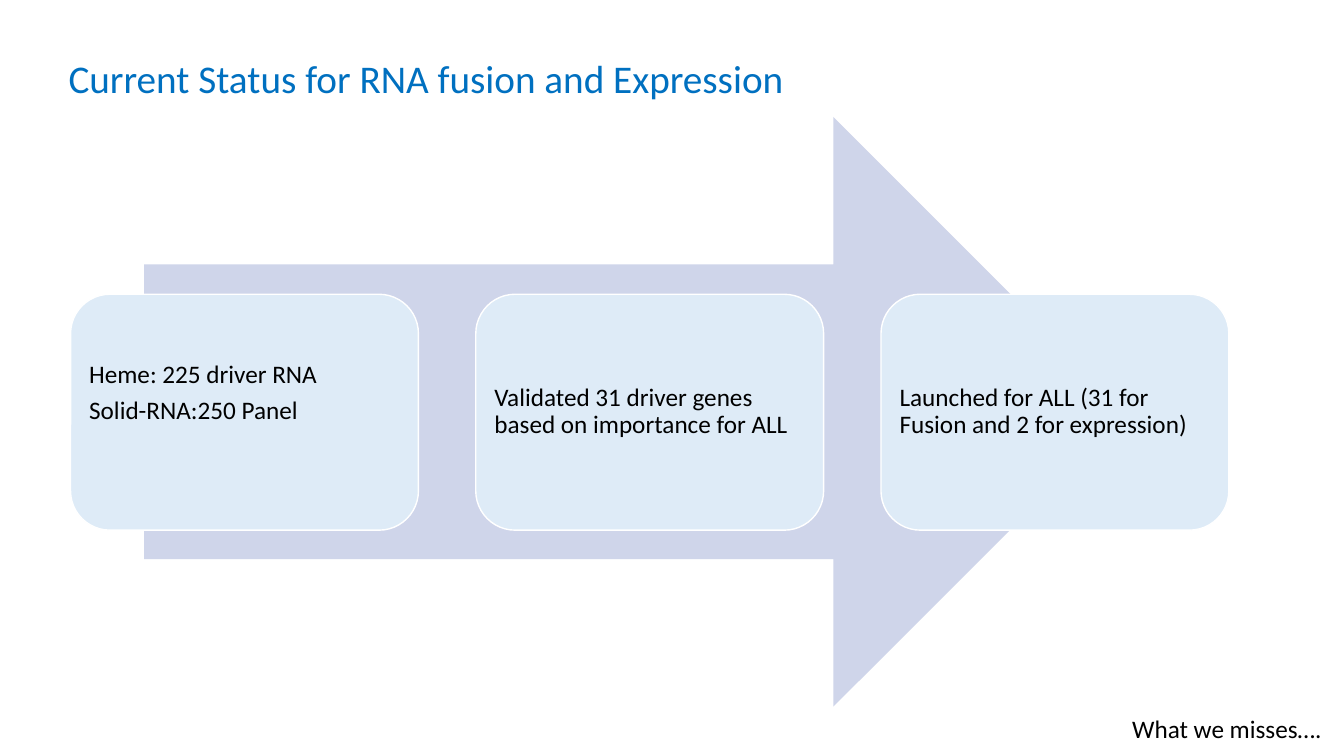
from pptx import Presentation
from pptx.dml.color import RGBColor
from pptx.enum.shapes import MSO_SHAPE as Shape
from pptx.enum.text import MSO_ANCHOR as Anchor, MSO_AUTO_SIZE as AutoSize, PP_ALIGN as Align
from pptx.util import Inches, Pt

COLORS = {
    "title": "0070C0",
    "text": "000000",
    "arrow": "CFD5EA",
    "card": "DEEBF7",
    "outline": "FFFFFF",
}
FONT = "Calibri"
TITLE_SIZE, TEXT_SIZE = 28, 18
CARD_INSET = 0.07

# Percent of the slide's width (left, width) and height (top, height)
CARD_LEFT, CARD_STEP, CARD_WIDTH = 5.25, 30.15, 25.88
CARD_TOP, CARD_HEIGHT = 38.93, 31.2

# Lines of each card, with the extra inches below that lift its text
CARDS = [
    (["Heme: 225 driver RNA", "Solid-RNA:250 Panel"], 0.38),
    (["Validated 31 driver genes based on importance for ALL"], 0),
    (["Launched for ALL (31 for Fusion and 2 for expression)"], 0),
]


def color(name):
    return RGBColor.from_string(COLORS[name])


class StatusSlide:
    def __init__(self, presentation):
        self.width = presentation.slide_width
        self.height = presentation.slide_height
        self.slide = presentation.slides.add_slide(presentation.slide_layouts[5])

    def box(self, left, top, width, height):
        """Turn percentages of the slide into lengths."""
        sides = (self.width, self.height) * 2
        return [int(side * share / 100) for side, share in zip(sides, (left, top, width, height))]

    def fill_text(self, frame, lines, size=TEXT_SIZE, color_name="text"):
        for index, line in enumerate(lines):
            paragraph = frame.add_paragraph() if index else frame.paragraphs[0]
            paragraph.text = line
            paragraph.alignment = Align.LEFT
            paragraph.font.name = FONT
            paragraph.font.size = Pt(size)
            paragraph.font.color.rgb = color(color_name)

    def title(self, text, *place):
        title = self.slide.shapes.title
        title.left, title.top, title.width, title.height = self.box(*place)
        title.text_frame.word_wrap = False
        title.text_frame.auto_size = AutoSize.NONE
        self.fill_text(title.text_frame, [text], TITLE_SIZE, "title")

    def shape(self, kind, fill, *place):
        shape = self.slide.shapes.add_shape(kind, *self.box(*place))
        shape.shadow.inherit = False
        shape.fill.solid()
        shape.fill.fore_color.rgb = color(fill)
        shape.line.fill.background()
        return shape

    def card(self, lines, lift, *place):
        card = self.shape(Shape.ROUNDED_RECTANGLE, "card", *place)
        card.line.color.rgb = color("outline")
        card.line.width = Pt(1)
        frame = card.text_frame
        frame.word_wrap = True
        frame.vertical_anchor = Anchor.MIDDLE
        frame.margin_left = frame.margin_right = frame.margin_top = Inches(CARD_INSET)
        frame.margin_bottom = Inches(CARD_INSET + lift)
        self.fill_text(frame, lines)
        for paragraph in frame.paragraphs:
            paragraph.line_spacing = 0.9
            paragraph.space_after = Pt(0.35 * TEXT_SIZE)

    def note(self, text, *place):
        frame = self.slide.shapes.add_textbox(*self.box(*place)).text_frame
        frame.word_wrap = False
        self.fill_text(frame, [text])


def main():
    presentation = Presentation()
    presentation.slide_width = Inches(13.33)
    presentation.slide_height = Inches(7.5)

    slide = StatusSlide(presentation)
    slide.title("Current Status for RNA fusion and Expression", 4.35, 6.53, 55.36, 7.6)
    slide.shape(Shape.RIGHT_ARROW, "arrow", 10.73, 15.47, 73.22, 78)
    for column, (lines, lift) in enumerate(CARDS):
        left = CARD_LEFT + column * CARD_STEP
        slide.card(lines, lift, left, CARD_TOP, CARD_WIDTH, CARD_HEIGHT)
    slide.note("What we misses….", 83.5, 93.73, 15.75, 5.33)

    presentation.save("out.pptx")


if __name__ == "__main__":
    main()
